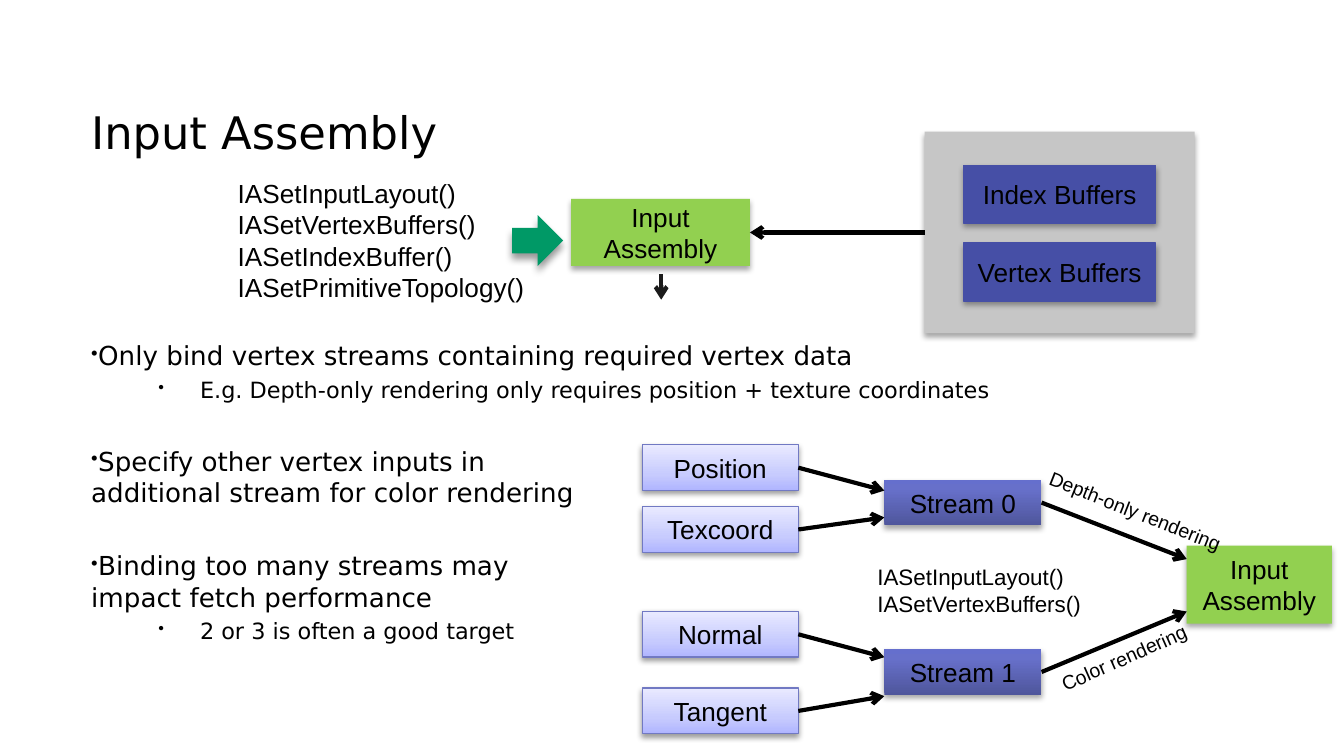
from lxml.etree import SubElement
from pptx import Presentation
from pptx.dml.color import RGBColor
from pptx.enum.shapes import MSO_CONNECTOR, MSO_SHAPE
from pptx.enum.text import MSO_ANCHOR, PP_ALIGN
from pptx.oxml.ns import qn
from pptx.util import Inches, Pt

COLORS = {
    "text": "000000", "panel": "C6C6C6", "buffer": "464FA6", "assembly": "92D050",
    "call": "009966", "line": "000000", "output": "1B1B1B", "input_line": "7179C3",
}
INPUT_FILL = [(0, "B0B5FF"), (35, "C7CBFE"), (100, "E9EAFF")]
STREAM_FILL = [(0, "4F569C"), (80, "6770CA"), (100, "656FCD")]
BOX_SHADOW = (35, 3.1, 1.8)
INPUT_SHADOW = (38, 3.1, 1.6)
CALL_SHADOW = (40, 4, 3)


def rgb(name):
    """Return the palette colour with this name."""
    return RGBColor.from_string(COLORS[name])


def write(paragraph, text, size, font="Arial"):
    """Add one run per line of text, with line breaks between them."""
    for index, line in enumerate(text.split("\n")):
        if index:
            paragraph.add_line_break()
        run = paragraph.add_run()
        run.text = line
        run.font.size = Pt(size)
        run.font.name = font
        run.font.color.rgb = rgb("text")


def add_label(slide, left, top, width, height, texts, size, font="Arial", rotation=0):
    """Place a plain text box with one paragraph per text."""
    label = slide.shapes.add_textbox(Inches(left), Inches(top), Inches(width), Inches(height))
    label.rotation = rotation
    frame = label.text_frame
    frame.word_wrap = True
    frame.margin_right = 0
    for index, text in enumerate(texts):
        paragraph = frame.add_paragraph() if index else frame.paragraphs[0]
        write(paragraph, text, size, font)


def fill_gradient(shape, stops):
    """Fill a shape with a gradient that runs from bottom to top."""
    shape.fill.gradient()
    shape.fill.gradient_angle = 90
    stop_list = shape.element.spPr.find(qn("a:gradFill")).find(qn("a:gsLst"))
    stop_list.clear()
    for position, color in stops:
        stop = SubElement(stop_list, qn("a:gs"), pos=str(position * 1000))
        SubElement(stop, qn("a:srgbClr"), val=color)


def add_block(slide, left, top, width, height, fill, text="", line=None,
              shadow=BOX_SHADOW, kind=MSO_SHAPE.RECTANGLE):
    """Place a shadowed shape with centred text."""
    block = slide.shapes.add_shape(kind, Inches(left), Inches(top), Inches(width), Inches(height))
    if isinstance(fill, str):
        block.fill.solid()
        block.fill.fore_color.rgb = rgb(fill)
    else:
        fill_gradient(block, fill)
    if line:
        block.line.color.rgb = rgb(line)
        block.line.width = Pt(0.75)
    else:
        block.line.fill.background()
    block.shadow.inherit = False
    opacity, blur, distance = shadow
    outer = SubElement(block.element.spPr.find(qn("a:effectLst")), qn("a:outerShdw"),
                       blurRad=str(Pt(blur)), dist=str(Pt(distance)),
                       dir="5400000", rotWithShape="0")
    shade = SubElement(outer, qn("a:srgbClr"), val="000000")
    SubElement(shade, qn("a:alpha"), val=str(opacity * 1000))
    if text:
        block.text_frame.vertical_anchor = MSO_ANCHOR.MIDDLE
        paragraph = block.text_frame.paragraphs[0]
        paragraph.alignment = PP_ALIGN.CENTER
        write(paragraph, text, 14)
    return block


def add_arrow(slide, start, end, color="line"):
    """Draw a straight arrow between two points in inches."""
    arrow = slide.shapes.add_connector(
        MSO_CONNECTOR.STRAIGHT, *(Inches(value) for value in (*start, *end)))
    arrow.line.color.rgb = rgb(color)
    arrow.line.width = Pt(2.25)
    properties = arrow.element.spPr
    SubElement(properties.find(qn("a:ln")), qn("a:tailEnd"), type="arrow")
    SubElement(properties, qn("a:effectLst"))
    return arrow


def add_pipeline(slide, left, top, width, height):
    """Place the calls, the assembly stage and the buffers that feed it."""
    panel_left = left + width - 2.01
    panel = add_block(slide, panel_left, top, 2.01, height, "panel")
    for row, name in enumerate(["Index Buffers", "Vertex Buffers"]):
        add_block(slide, panel_left + 0.29, top + 0.25 + row * 0.58, 1.43, 0.43,
                  "buffer", name, line="buffer")
    assembly = add_block(slide, left + 2.58, top + 0.5, 1.33, 0.5, "assembly", "Input Assembly")
    middle = top + height / 2
    feed = add_arrow(slide, (panel_left, middle), (left + 3.91, middle))
    feed.begin_connect(panel, 1)
    feed.end_connect(assembly, 3)
    add_arrow(slide, (left + 3.25, top + 1.06), (left + 3.25, top + 1.25), "output")
    calls = ("IASetInputLayout()\nIASetVertexBuffers()\n"
             "IASetIndexBuffer()\nIASetPrimitiveTopology()")
    add_label(slide, left, top + 0.29, 2.46, 1.04, [calls], 14)
    add_block(slide, left + 2.14, top + 0.62, 0.38, 0.38, "call",
              shadow=CALL_SHADOW, kind=MSO_SHAPE.RIGHT_ARROW)


def add_streams(slide, left, top, width, height):
    """Place the vertex inputs, their two streams and the assembly stage."""
    stream_left = left + 1.8
    assembly_left = left + width - 1.08
    input_bottom = height - 0.34
    streams = [
        ("Stream 0", 0.26, 0.85, [("Position", 0, 0.34), ("Texcoord", 0.46, 0.54)]),
        ("Stream 1", 1.52, 1.24, [("Normal", 1.24, 1.58), ("Tangent", input_bottom, 1.87)]),
    ]
    add_block(slide, assembly_left, top + 0.75, 1.08, 0.58, "assembly", "Input Assembly")
    for stream_name, stream_top, assembly_entry, inputs in streams:
        stream = add_block(slide, stream_left, top + stream_top, 1.17, 0.34,
                           STREAM_FILL, stream_name)
        for input_name, input_top, stream_entry in inputs:
            vertex_input = add_block(slide, left, top + input_top, 1.16, 0.34, INPUT_FILL,
                                     input_name, "input_line", INPUT_SHADOW)
            bind = add_arrow(slide, (left + 1.16, top + input_top + 0.17),
                             (stream_left, top + stream_entry))
            bind.begin_connect(vertex_input, 3)
        render = add_arrow(slide, (stream_left + 1.17, top + stream_top + 0.17),
                           (assembly_left, top + assembly_entry))
        render.begin_connect(stream, 3)
    add_label(slide, left + 2.89, top + 0.36, 1.58, 0.28, ["Depth-only rendering"], 10.5,
              rotation=21.6)
    add_label(slide, left + 2.98, top + 1.42, 1.32, 0.28, ["Color rendering"], 10.5,
              rotation=336.2)
    add_label(slide, left + 1.65, top + 0.83, 1.73, 0.5,
              ["IASetInputLayout()", "IASetVertexBuffers()"], 12)


def add_advice(slide, left, top, width, height):
    """Place the bulleted advice on vertex streams."""
    advice = [
        (0, 0, "Only bind vertex streams containing required vertex data"),
        (1, 2.8, "E.g. Depth-only rendering only requires position + texture coordinates"),
        (0, 22.4, "Specify other vertex inputs in \nadditional stream for color rendering"),
        (0, 22.4, "Binding too many streams may \nimpact fetch performance"),
        (1, 2.4, "2 or 3 is often a good target"),
    ]
    margins = [(0, -0.3, 14), (0.81, -0.31, 12)]
    box = slide.shapes.add_textbox(Inches(left), Inches(top), Inches(width), Inches(height))
    frame = box.text_frame
    frame.word_wrap = True
    for index, (level, space, text) in enumerate(advice):
        paragraph = frame.add_paragraph() if index else frame.paragraphs[0]
        margin, indent, size = margins[level]
        paragraph.level = level
        paragraph.space_before = Pt(space)
        properties = paragraph._p.get_or_add_pPr()
        properties.set("marL", str(Inches(margin)))
        properties.set("indent", str(Inches(indent)))
        bullet_color = SubElement(properties, qn("a:buClr"))
        SubElement(bullet_color, qn("a:srgbClr"), val=COLORS["text"])
        SubElement(properties, qn("a:buSzPct"), val="75000")
        SubElement(properties, qn("a:buChar"), char="•")
        write(paragraph, text, size, "DejaVu Sans")


def main():
    """Build the slide and save it."""
    deck = Presentation()
    deck.slide_width = Inches(10)
    deck.slide_height = deck.slide_width * 9 // 16
    slide = deck.slides.add_slide(deck.slide_layouts[6])
    add_label(slide, 0.58, 0.73, 8.83, 0.85, ["Input Assembly"], 24, "DejaVu Sans")
    add_advice(slide, 0.58, 2.48, 9.42, 3.1)
    add_pipeline(slide, 1.67, 0.98, 7.22, 1.5)
    add_streams(slide, 4.78, 3.31, 5.13, 2.15)
    deck.save("out.pptx")


if __name__ == "__main__":
    main()
